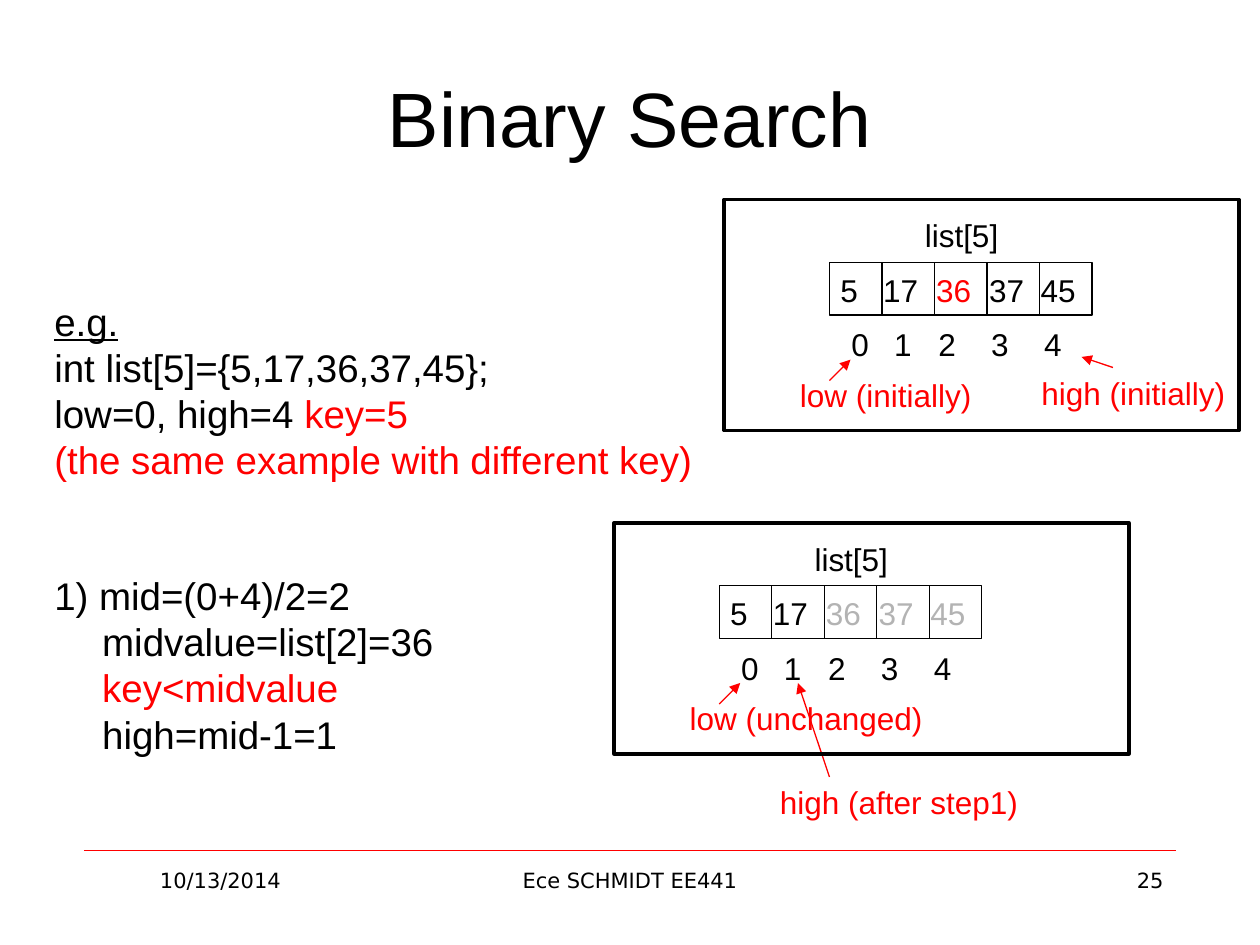
"""Build a slide that walks through the first step of a binary search."""
import lxml.etree
import pptx
import pptx.dml.color
import pptx.enum.shapes
import pptx.enum.text
import pptx.oxml.ns
import pptx.util

COLUMNS, ROWS = 24, 18
SLIDE_WIDTH, SLIDE_HEIGHT = 10, 7.5
UNIT = SLIDE_WIDTH / COLUMNS

THEME = {
    "black": "000000", "red": "FF0000", "gray": "B3B3B3",
    "sans": "Arial", "footer_font": "DejaVu Sans",
    "title": 44, "body": 22, "label": 18, "footer": 12,
    "hairline": 0.25, "thin": 0.75, "frame": 2.25,
}

TITLE = "Binary Search"
FOOTERS = [
    ("10/13/2014", 1.6, 5.2, "CENTER"),
    ("Ece SCHMIDT EE441", 8.2, 7.6, "CENTER"),
    ("25", 17.2, 5.2, "RIGHT"),
]
BODY = [
    {"runs": [("e.g.", "black")], "underline": True, "before": 0},
    {"runs": [("int list[5]={5,17,36,37,45};", "black")]},
    {"runs": [("low=0, high=4 ", "black"), ("key=5", "red")]},
    {"runs": [("(the same example with different key)", "red")]},
    {"runs": [("1) mid=(0+4)/2=2", "black")], "before": 56.4},
    {"runs": [("midvalue=list[2]=36", "black")], "indent": 0.38},
    {"runs": [("key<midvalue", "red")], "indent": 0.38},
    {"runs": [("high=mid-1=1", "black")], "indent": 0.38},
]
VALUES = ["5", "17", "36", "37", "45"]
VALUE_STOPS = [0.34, 0.76, 1.18, 1.59]
INDEX_STOPS = [0.34, 0.69, 1.11, 1.53]
PANELS = [
    {
        "origin": (13.8, 3.8),
        "colors": ["black", "black", "red", "black", "black"],
        "labels": [("low (initially)", 1.2, 3.24), ("high (initially)", 5.8, 3.2)],
        "arrows": [((2, 3.45), (2.4, 3.05)), ((7.4, 3.2), (6.8, 3))],
    },
    {
        "origin": (11.7, 9.96),
        "colors": ["black", "black", "gray", "gray", "gray"],
        "labels": [("low (unchanged)", 1.2, 3.24), ("high (after step1)", 2.92, 4.84)],
        "arrows": [((2, 3.45), (2.4, 3.05)), ((4.1, 4.84), (3.5, 3.05))],
    },
]


def grid(value):
    return pptx.util.Inches(value * UNIT)


def color(name):
    return pptx.dml.color.RGBColor.from_string(THEME[name])


def add_text(shapes, paragraphs, left, top, width, height, size="label", font="sans",
             align="LEFT", anchor="TOP", spacing=None, before=0, stops=()):
    """Write paragraphs, given as a string or as dicts of coloured runs."""
    if isinstance(paragraphs, str):
        paragraphs = [{"runs": [(paragraphs, "black")]}]
    frame = shapes.add_textbox(grid(left), grid(top), grid(width), grid(height)).text_frame
    frame.word_wrap = True
    frame.vertical_anchor = getattr(pptx.enum.text.MSO_ANCHOR, anchor)
    for number, content in enumerate(paragraphs):
        paragraph = frame.add_paragraph() if number else frame.paragraphs[0]
        paragraph.alignment = getattr(pptx.enum.text.PP_ALIGN, align)
        paragraph.space_before = pptx.util.Pt(content.get("before", before))
        if spacing:
            paragraph.line_spacing = spacing
        properties = paragraph._p.get_or_add_pPr()
        properties.set("marL", str(pptx.util.Inches(content.get("indent", 0))))
        if stops:
            tabs = lxml.etree.SubElement(properties, pptx.oxml.ns.qn("a:tabLst"))
            for stop in stops:
                lxml.etree.SubElement(tabs, pptx.oxml.ns.qn("a:tab"),
                                      pos=str(pptx.util.Inches(stop)), algn="l")
        for text, run_color in content["runs"]:
            run = paragraph.add_run()
            run.text = text
            run.font.name = THEME[font]
            run.font.size = pptx.util.Pt(THEME[size])
            run.font.color.rgb = color(run_color)
            run.font.underline = content.get("underline", False)


def add_line(shapes, start, end, line_color="black", width="thin", arrow=False):
    connector = shapes.add_connector(pptx.enum.shapes.MSO_CONNECTOR.STRAIGHT,
                                     *[grid(value) for value in (*start, *end)])
    connector.line.color.rgb = color(line_color)
    connector.line.width = pptx.util.Pt(THEME[width])
    if arrow:
        lxml.etree.SubElement(connector.line._get_or_add_ln(),
                              pptx.oxml.ns.qn("a:tailEnd"), type="triangle")
    lxml.etree.SubElement(connector._element.spPr, pptx.oxml.ns.qn("a:effectLst"))


def add_frame(shapes, left, top, width, height, line_width):
    shape = shapes.add_shape(pptx.enum.shapes.MSO_SHAPE.RECTANGLE,
                             grid(left), grid(top), grid(width), grid(height))
    shape.shadow.inherit = False
    shape.fill.background()
    shape.line.color.rgb = color("black")
    shape.line.width = pptx.util.Pt(THEME[line_width])


def add_panel(slide, panel):
    shapes = slide.shapes.add_group_shape().shapes
    x, y = panel["origin"]
    count = len(VALUES)
    add_frame(shapes, x + 2, y + 1.2, count, 1, "thin")
    for column in range(1, count):
        add_line(shapes, (x + 2 + column, y + 1.2), (x + 2 + column, y + 2.2))
    indices = "\t".join(str(index) for index in range(count))
    add_text(shapes, indices, x + 2.18, y + 2.28, 5.2, 0.96, stops=INDEX_STOPS)
    add_text(shapes, "list[5]", x + 3.58, y + 0.2, 2.4, 0.96)
    for text, left, top in panel["labels"]:
        add_text(shapes, [{"runs": [(text, "red")]}], x + left, y + top, 5.2, 0.96)
    for (start_x, start_y), (end_x, end_y) in panel["arrows"]:
        add_line(shapes, (x + start_x, y + start_y), (x + end_x, y + end_y), "red", arrow=True)
    runs = [("\t" * (index > 0) + value, value_color)
            for index, (value, value_color) in enumerate(zip(VALUES, panel["colors"]))]
    add_text(shapes, [{"runs": runs}], x + 1.97, y + 1.24, 5.2, 0.96, stops=VALUE_STOPS)
    add_frame(shapes, x, y, 9.8, 4.4, "frame")


def main():
    presentation = pptx.Presentation()
    presentation.slide_width = pptx.util.Inches(SLIDE_WIDTH)
    presentation.slide_height = pptx.util.Inches(SLIDE_HEIGHT)
    slide = presentation.slides.add_slide(presentation.slide_layouts[6])
    add_line(slide.shapes, (1.6, 16.2), (COLUMNS - 1.6, 16.2), "red", "hairline")
    add_text(slide.shapes, TITLE, 1.2, 0.72, 21.6, 3, size="title",
             align="CENTER", anchor="MIDDLE")
    for text, left, width, align in FOOTERS:
        add_text(slide.shapes, text, left, 16.4, width, 1.24, size="footer",
                 font="footer_font", align=align)
    add_text(slide.shapes, BODY, 0.8, 5.72, 22.6, 8.6, size="body", spacing=0.8, before=5.3)
    for panel in PANELS:
        add_panel(slide, panel)
    presentation.save("out.pptx")


if __name__ == "__main__":
    main()
